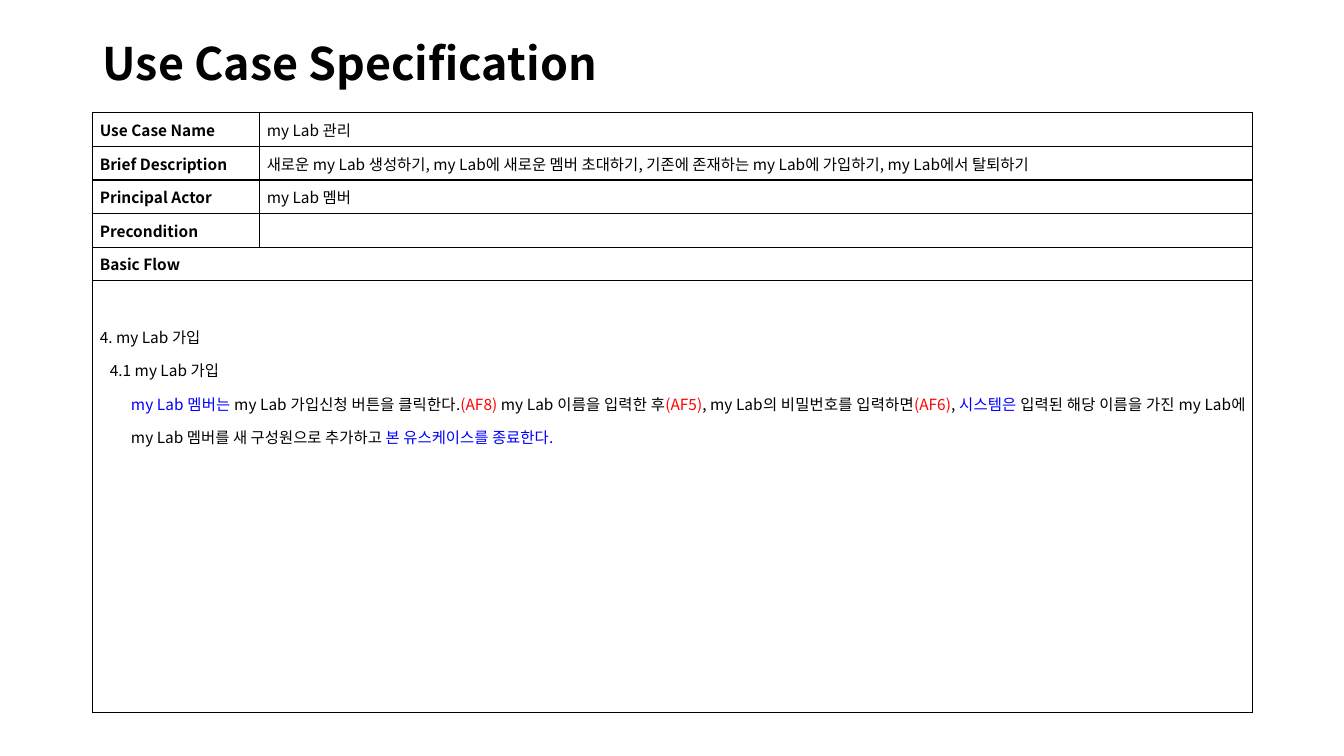
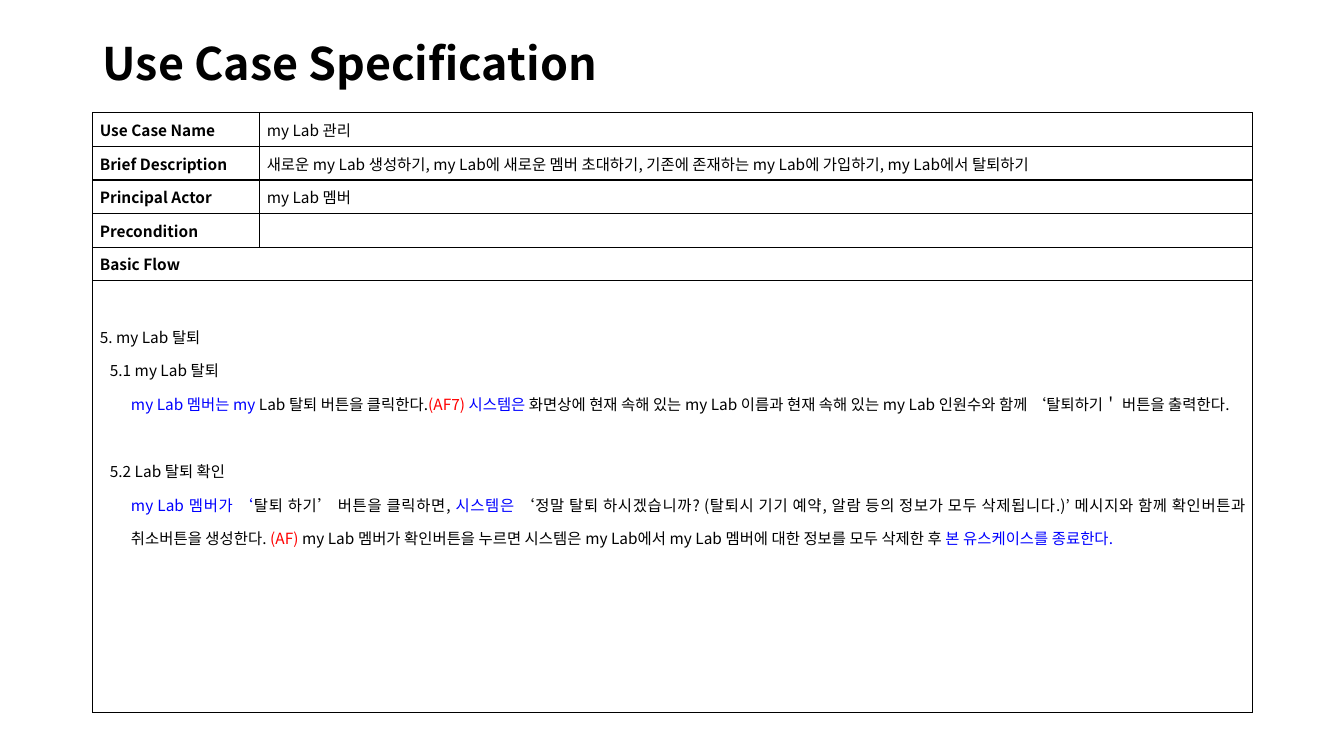
from lxml import etree
from pptx import Presentation, util as u
from pptx.dml.color import RGBColor
from pptx.enum import text
from pptx.oxml.ns import qn

FONT = "Noto Sans CJK KR"
BLACK, BLUE, RED = "000000", "0000FF", "FF0000"
W, H = u.Inches(13.33), u.Inches(7.5)
LEFT, WIDTH = int(W * 0.069), int(W * 0.863)
TITLE_BOX = LEFT, u.Inches(0.4), WIDTH, u.Inches(0.5)
TABLE_BOX = LEFT, u.Inches(1.12), WIDTH, u.Inches(5.95)
ROW = u.Pt(24)  # also the height of one line of the flow
LABEL_SHARE = 0.144

FIELDS = [
    ("Use Case Name", "my Lab 관리"),
    ("Brief Description", "새로운 my Lab 생성하기, my Lab에 새로운 멤버 초대하기, "
     "기존에 존재하는 my Lab에 가입하기, my Lab에서 탈퇴하기"),
    ("Principal Actor", "my Lab 멤버"),
    ("Precondition", ""),
]

# Each step: heading, then its runs of text with their colours
JOIN_FLOW = ("4. my Lab 가입", [
    ("4.1 my Lab 가입", [
        ("my Lab 멤버는 ", BLUE), ("my Lab 가입신청 버튼을 클릭한다.", BLACK),
        ("(AF8)", RED), (" my Lab 이름을 입력한 후", BLACK),
        ("(AF5)", RED), (", my Lab의 비밀번호를 입력하면", BLACK),
        ("(AF6)", RED), (", ", BLACK), ("시스템은", BLUE),
        (" 입력된 해당 이름을 가진 my Lab에 my Lab 멤버를 새 구성원으로 추가하고 ", BLACK),
        ("본 유스케이스를 종료한다.", BLUE)]),
])
LEAVE_FLOW = ("5. my Lab 탈퇴", [
    ("5.1 my Lab 탈퇴", [
        ("my Lab 멤버는 my ", BLUE), ("Lab 탈퇴 버튼을 클릭한다.", BLACK),
        ("(AF7) ", RED), ("시스템은 ", BLUE),
        ("화면상에 현재 속해 있는 my Lab 이름과 현재 속해 있는 my Lab 인원수와 함께 "
         "‘탈퇴하기＇ 버튼을 출력한다.", BLACK)]),
    ("5.2 Lab 탈퇴 확인", [
        ("my Lab 멤버가 ‘", BLUE), ("탈퇴 하기’ 버튼을 클릭하면, ", BLACK),
        ("시스템은 ", BLUE),
        ("‘정말 탈퇴 하시겠습니까? (탈퇴시 기기 예약, 알람 등의 정보가 모두 삭제됩니다.)’ "
         "메시지와 함께 확인버튼과 취소버튼을 생성한다. ", BLACK),
        ("(AF)", RED),
        (" my Lab 멤버가 확인버튼을 누르면 시스템은 my Lab에서 my Lab 멤버에 대한 정보를 "
         "모두 삭제한 후 ", BLACK),
        ("본 유스케이스를 종료한다.", BLUE)]),
])


def rgb(color):
    return RGBColor.from_string(color)


def write(tf, runs, size=11, bold=False, align=text.PP_ALIGN.JUSTIFY,
          spacing=1.0, indent=0, before=0, new=False):
    """Write one paragraph; runs is a string or a list of (text, colour)."""
    p = tf.add_paragraph() if new else tf.paragraphs[0]
    p.alignment, p.line_spacing = align, spacing
    p.space_before = u.Pt(before)
    if indent:
        pPr = p._p.get_or_add_pPr()
        pPr.set("marL", str(u.Inches(indent)))
        pPr.set("indent", "0")
    p.font.size = u.Pt(size)
    for words, color in [(runs, BLACK)] if isinstance(runs, str) else runs:
        if not words:
            # an empty cell keeps the small text height
            end = etree.SubElement(p._p, qn("a:endParaRPr"))
            end.set("sz", str(size * 100))
            continue
        r = p.add_run()
        r.text = words
        r.font.size, r.font.bold, r.font.name = u.Pt(size), bold, FONT
        r.font.color.rgb = rgb(color)
        etree.SubElement(r._r.get_or_add_rPr(), qn("a:ea")).set("typeface", FONT)


def style_cell(cell):
    cell.margin_left = cell.margin_right = u.Inches(0.07)
    cell.margin_top = cell.margin_bottom = 0
    cell.vertical_anchor = text.MSO_ANCHOR.MIDDLE
    cell.fill.background()
    tcPr = cell._tc.get_or_add_tcPr()
    for i, side in enumerate("LRTB"):
        ln = etree.Element(qn("a:ln" + side), w=str(u.Pt(1)))
        fill = etree.SubElement(ln, qn("a:solidFill"))
        etree.SubElement(fill, qn("a:srgbClr")).set("val", BLACK)
        tcPr.insert(i, ln)


def add_title(s, box, words):
    tf = s.shapes.add_textbox(*box).text_frame
    tf.word_wrap = True
    tf.vertical_anchor = text.MSO_ANCHOR.MIDDLE
    write(tf, words, size=32, bold=True, align=text.PP_ALIGN.LEFT, spacing=0.9)


def write_flow(cell, flow):
    heading, steps = flow
    cell.vertical_anchor = text.MSO_ANCHOR.TOP
    cell.margin_top = ROW
    tf = cell.text_frame
    write(tf, heading, spacing=1.5)
    for i, (step, runs) in enumerate(steps):
        write(tf, step, spacing=1.5, indent=0.1, before=ROW.pt if i else 0, new=True)
        write(tf, runs, spacing=1.5, indent=0.31, new=True)


def add_use_case(s, box, flow):
    x, y, w, h = box
    n = len(FIELDS)
    table = s.shapes.add_table(n + 2, 2, x, y, w, h).table
    table.first_row = table.horz_banding = False
    table.columns[0].width = int(w * LABEL_SHARE)
    table.columns[1].width = w - table.columns[0].width
    for i, row in enumerate(table.rows):
        row.height = ROW if i <= n else h - ROW * (n + 1)
        for cell in row.cells:
            style_cell(cell)
    # Label and value rows
    for i, (label, value) in enumerate(FIELDS):
        write(table.cell(i, 0).text_frame, label, bold=True)
        write(table.cell(i, 1).text_frame, value)
    # Flow heading and body span both columns
    for i in (n, n + 1):
        table.cell(i, 0).merge(table.cell(i, 1))
    write(table.cell(n, 0).text_frame, "Basic Flow", bold=True)
    write_flow(table.cell(n + 1, 0), flow)


def main():
    prs = Presentation()
    prs.slide_width, prs.slide_height = W, H
    for flow in (JOIN_FLOW, LEAVE_FLOW):
        s = prs.slides.add_slide(prs.slide_layouts[6])
        add_title(s, TITLE_BOX, "Use Case Specification")
        add_use_case(s, TABLE_BOX, flow)
    prs.save("out.pptx")


if __name__ == "__main__":
    main()
